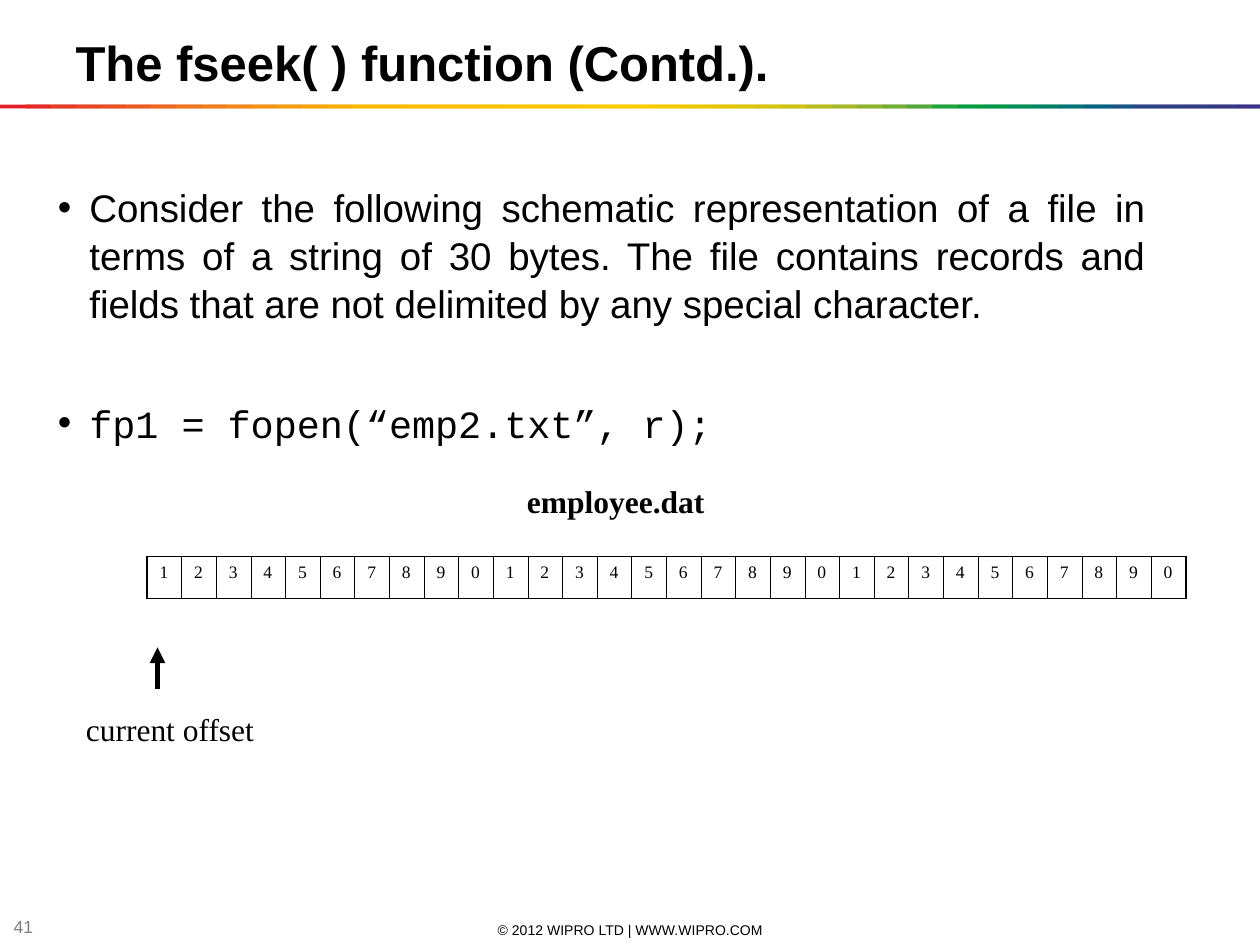
from lxml import etree
from pptx import Presentation
from pptx.dml.color import RGBColor
from pptx.enum.shapes import MSO_CONNECTOR, MSO_SHAPE
from pptx.enum.text import MSO_ANCHOR, PP_ALIGN
from pptx.oxml import parse_xml
from pptx.oxml.ns import nsdecls, qn
from pptx.util import Pt

LEFT, CENTER, JUSTIFY = PP_ALIGN.LEFT, PP_ALIGN.CENTER, PP_ALIGN.JUSTIFY
TOP, MIDDLE = MSO_ANCHOR.TOP, MSO_ANCHOR.MIDDLE
RECTANGLE, STRAIGHT = MSO_SHAPE.RECTANGLE, MSO_CONNECTOR.STRAIGHT

COLORS = {"black": "000000", "gray": "7F7F7F"}
RAINBOW = """
    E31E24 E42C24 E53A24 E74623 E85122 EA5D21 EC691F EE741D EF7E1A F18817
    F39314 F49C0F F6A607 F8B002 FBBA00 FBBB00 FBBD00 FCBF00 FCC000 FCC200
    FDC400 FDC600 FDC700 FEC900 FECB00 FBCB00 F3CA00 ECC800 E4C602 DCC50A
    D5C30E CCC117 B8BC21 A3B829 8CB230 71AD36 51A73B 1DA240 009D43 009846
    008C57 008068 007275 00637F 185384 2E4285 313E85 333B85 353885 393185
""".split()


def add_run(paragraph, text, font, size, color="black", bold=False):
    run = paragraph.add_run()
    run.text = text
    run.font.name = font
    run.font.size = Pt(size)
    run.font.bold = bold
    run.font.color.rgb = RGBColor.from_string(COLORS[color])


def add_text_box(left, top, width, height, anchor=TOP, margin_top=3.6):
    """Add a wrapping text box and return its text frame."""
    box = slide.shapes.add_textbox(Pt(left), Pt(top), Pt(width), Pt(height))
    frame = box.text_frame
    frame.word_wrap = True
    frame.vertical_anchor = anchor
    frame.margin_top = Pt(margin_top)
    return frame


presentation = Presentation()
presentation.slide_width, presentation.slide_height = Pt(720), Pt(540)
slide = presentation.slides.add_slide(presentation.slide_layouts[5])

# Title
title = slide.shapes.title
title.left, title.top, title.width, title.height = Pt(36), Pt(11.5), Pt(648), Pt(41)
title.text_frame.vertical_anchor = TOP
title.text_frame.margin_top = Pt(7.2)
paragraph = title.text_frame.paragraphs[0]
paragraph.alignment = LEFT
add_run(paragraph, "The fseek( ) function (Contd.).", "Arial", 28, bold=True)

# Rainbow rule: overlapping strips, the last cut off at the slide edge
rule = slide.shapes.add_group_shape()
step = 720 / len(RAINBOW)
for index, color in enumerate(RAINBOW):
    left = index * step
    strip = rule.shapes.add_shape(
        RECTANGLE, Pt(left), Pt(59.8), Pt(min(2 * step, 720 - left)), Pt(2.2))
    strip.shadow.inherit = False
    strip.fill.solid()
    strip.fill.fore_color.rgb = RGBColor.from_string(color)
    strip.line.fill.background()

# Footer
paragraph = add_text_box(246, 525.6, 228.5, 11.5, MIDDLE).paragraphs[0]
paragraph.alignment = CENTER
add_run(paragraph, "© 2012 WIPRO LTD | WWW.WIPRO.COM", "Arial", 8)
paragraph = add_text_box(0.7, 523.5, 28, 11.5, MIDDLE).paragraphs[0]
add_run(paragraph, "41", "Arial", 10, "gray")

# Bullets
bullets = [
    ("Consider the following schematic representation of a file in terms of a "
     "string of 30 bytes. The file contains records and fields that are not "
     "delimited by any special character.", "Arial", 0),
    ("fp1 = fopen(“emp2.txt”, r);", "Courier New", 41),
]
body = add_text_box(26, 98, 635.8, 216, margin_top=6)
for index, (text, font, space_before) in enumerate(bullets):
    paragraph = body.add_paragraph() if index else body.paragraphs[0]
    properties = paragraph._p.get_or_add_pPr()
    properties.set("marL", str(Pt(18)))
    properties.set("indent", str(Pt(-18)))
    bullet_color = etree.SubElement(properties, qn("a:buClr"))
    etree.SubElement(bullet_color, qn("a:srgbClr"), val=COLORS["black"])
    etree.SubElement(properties, qn("a:buFont"), typeface="Arial")
    etree.SubElement(properties, qn("a:buChar"), char="•")
    paragraph.alignment = JUSTIFY
    paragraph.line_spacing = 1.04
    paragraph.space_before = Pt(space_before)
    add_run(paragraph, text, font, 22)

# Offset arrow
arrow = slide.shapes.add_connector(STRAIGHT, Pt(90), Pt(394), Pt(90), Pt(370))
arrow.line.color.rgb = RGBColor.from_string(COLORS["black"])
arrow.line.width = Pt(3)
etree.SubElement(arrow.line._get_or_add_ln(), qn("a:tailEnd"), type="triangle")
etree.SubElement(arrow._element.spPr, qn("a:effectLst"))

# Labels
for text, left, top, bold in [("current offset", 42, 400.5, False),
                              ("employee.dat", 294, 270, True)]:
    paragraph = add_text_box(left, top, 126, 28.8, margin_top=5.2).paragraphs[0]
    add_run(paragraph, text, "Times New Roman", 18, bold=bold)

# File bytes
byte_count = 30
table = slide.shapes.add_table(1, byte_count, Pt(84), Pt(318), Pt(594), Pt(24)).table
table.first_row = table.horz_banding = False
table.rows[0].height = Pt(24)
for index in range(byte_count):
    table.columns[index].width = Pt(594 / byte_count)
    cell = table.cell(0, index)
    cell.margin_left = cell.margin_right = Pt(7.2)
    cell.margin_top = cell.margin_bottom = Pt(3.6)
    add_run(cell.text_frame.paragraphs[0], str((index + 1) % 10), "Times New Roman", 10)
    borders = {
        "lnL": 1.08 if index == 0 else 0.45,
        "lnR": 1.08 if index == byte_count - 1 else 0.45,
        "lnT": 1.08,
        "lnB": 1.08,
    }
    for side, width in borders.items():
        cell._tc.get_or_add_tcPr().append(parse_xml(
            f'<a:{side} {nsdecls("a")} w="{Pt(width)}"><a:solidFill>'
            f'<a:srgbClr val="{COLORS["black"]}"/></a:solidFill></a:{side}>'))
    cell.fill.background()

presentation.save("out.pptx")
